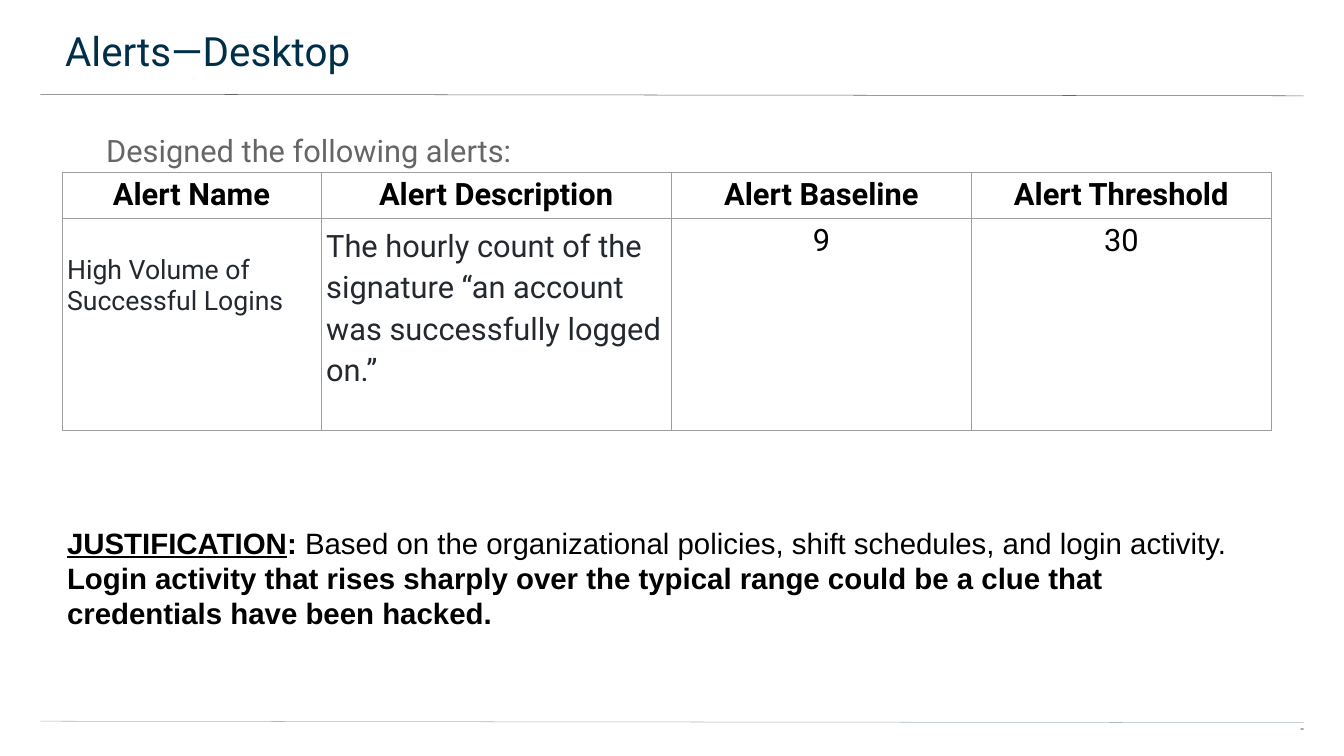
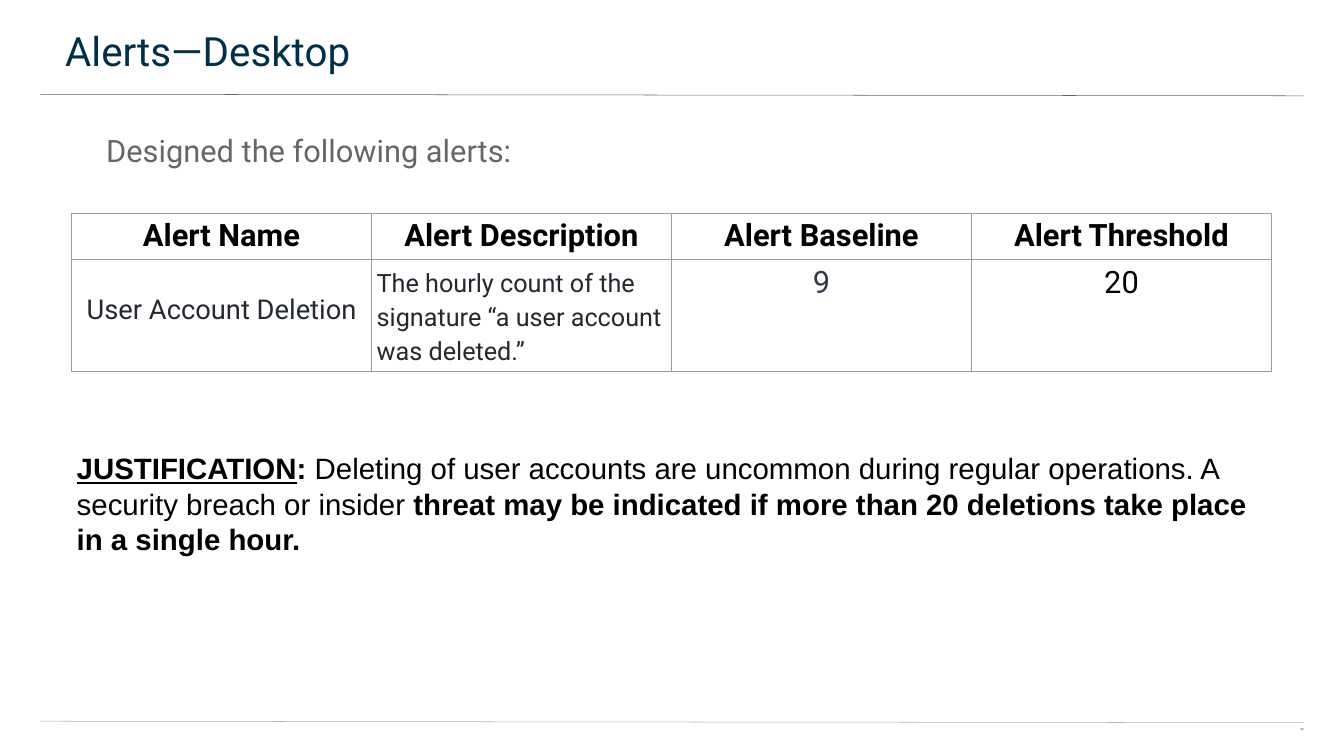
from lxml.etree import SubElement
from pptx import Presentation
from pptx.dml.color import RGBColor
from pptx.enum.shapes import MSO_CONNECTOR
from pptx.enum.text import MSO_ANCHOR, MSO_AUTO_SIZE, PP_ALIGN
from pptx.oxml.ns import qn
from pptx.util import Inches, Pt

COLORS = {
    "title": "002F4A", "grey": "666666", "footer": "A9B7C0", "border": "9E9E9E",
    "black": "000000", "ink": "24292F", "slate": "31394D",
}

presentation = Presentation()
presentation.slide_width = Inches(26.66)
presentation.slide_height = Inches(15)

# Grid: 100 columns by 100 rows
COLUMN = presentation.slide_width / 100
ROW = presentation.slide_height / 100
CELL_INSETS = (0.38, 0.67, 0.38, 0.67)
HEADINGS = ["Alert Name", "Alert Description", "Alert Baseline", "Alert Threshold"]


def write(frame, text, size=44, font="Roboto", color="black", bold=False,
          align=PP_ALIGN.LEFT, spacing=1.0):
    """Write one paragraph; text is a string or a list of (text, bold, underline)."""
    frame.word_wrap = True
    paragraph = frame.paragraphs[0]
    paragraph.alignment = align
    paragraph.line_spacing = spacing
    runs = [(text, bold, False)] if isinstance(text, str) else text
    for words, heavy, underline in runs:
        run = paragraph.add_run()
        run.text = words
        run.font.name = font
        run.font.size = Pt(size)
        run.font.bold = heavy
        run.font.underline = underline
        run.font.color.rgb = RGBColor.from_string(COLORS[color])


def set_insets(holder, left, top, right, bottom):
    holder.margin_left, holder.margin_right = int(left * COLUMN), int(right * COLUMN)
    holder.margin_top, holder.margin_bottom = int(top * ROW), int(bottom * ROW)


alerts = [
    {
        "page": "20", "left": 4.61, "table_top": 22.73, "body_row": 28.07,
        "widths": [19.28, 26.07, 22.32, 22.32], "name_top": 4.8,
        "cells": [
            ("High Volume of Successful Logins", {"size": 38, "color": "ink"}),
            ("The hourly count of the signature “an account was successfully logged on.”",
             {"color": "ink", "spacing": 1.15}),
            ("9", {"align": PP_ALIGN.CENTER}),
            ("30", {"align": PP_ALIGN.CENTER}),
        ],
        "reason_top": 68.73,
        "reason": "Based on the organizational policies, shift schedules, and login activity. ",
        "warning": "Login activity that rises sharply over the typical range could be "
                   "a clue that credentials have been hacked.",
    },
    {
        "page": "23", "left": 5.33, "table_top": 28.2, "body_row": 14.8,
        "widths": [22.32] * 4, "name_top": 4.57,
        "cells": [
            ("User Account Deletion",
             {"size": 39, "color": "ink", "align": PP_ALIGN.CENTER}),
            ("The hourly count of the signature “a user account was deleted.”",
             {"size": 36, "color": "ink", "spacing": 1.15}),
            ("9", {"color": "slate", "align": PP_ALIGN.CENTER}),
            ("20", {"align": PP_ALIGN.CENTER}),
        ],
        "reason_top": 58.93,
        "reason": "Deleting of user accounts are uncommon during regular operations. "
                  "A security breach or insider ",
        "warning": "threat may be indicated if more than 20 deletions take place "
                   "in a single hour.",
    },
]

for alert in alerts:
    slide = presentation.slides.add_slide(presentation.slide_layouts[6])
    table_width = sum(alert["widths"])

    # Rules under the title and above the footer
    for start, end, color in [(12.47, 12.67, "grey"), (95.4, 95.6, "footer")]:
        rule = slide.shapes.add_connector(
            MSO_CONNECTOR.STRAIGHT, int(3 * COLUMN), int(start * ROW),
            int(97 * COLUMN), int(end * ROW))
        rule.line.color.rgb = RGBColor.from_string(COLORS[color])
        rule.line.width = Pt(0.75)
        SubElement(rule._element.spPr, qn("a:effectLst"))

    # Title, page number, introduction and justification
    justification = [("JUSTIFICATION", True, True), (": ", True, False),
                     (alert["reason"], False, False), (alert["warning"], True, False)]
    text_boxes = [
        ((-0.15, 0, 100.26, 10.4), (5, 3.53, 3, 1.8), "Alerts—Desktop",
         {"size": 57.6, "color": "title"}),
        ((94.15, 96.4, 2.85, 2.07), (0, 0, 0, 1.8), alert["page"],
         {"size": 4, "align": PP_ALIGN.RIGHT, "spacing": 0.8}),
        ((2.9, 16.73, 94.1, 71.93), (5, 0, 5, 17.8), "Designed the following alerts:",
         {"color": "grey", "spacing": 1.15}),
        ((alert["left"], alert["reason_top"], table_width, 15.47), CELL_INSETS,
         justification, {"size": 42, "font": "Arial"}),
    ]
    for (left, top, width, height), insets, text, text_format in text_boxes:
        box = slide.shapes.add_textbox(int(left * COLUMN), int(top * ROW),
                                       int(width * COLUMN), int(height * ROW))
        box.text_frame.auto_size = MSO_AUTO_SIZE.NONE
        box.text_frame.vertical_anchor = MSO_ANCHOR.TOP
        set_insets(box.text_frame, *insets)
        write(box.text_frame, text, **text_format)

    # Alert table
    row_heights = [6.13, alert["body_row"]]
    table = slide.shapes.add_table(
        2, 4, int(alert["left"] * COLUMN), int(alert["table_top"] * ROW),
        int(table_width * COLUMN), int(sum(row_heights) * ROW)).table
    table.first_row = table.horz_banding = False
    for table_column, width in zip(table.columns, alert["widths"]):
        table_column.width = int(width * COLUMN)
    for table_row, height in zip(table.rows, row_heights):
        table_row.height = int(height * ROW)

    header = [(heading, {"bold": True, "align": PP_ALIGN.CENTER}) for heading in HEADINGS]
    for row_index, contents in enumerate([header, alert["cells"]]):
        for column_index, (text, text_format) in enumerate(contents):
            cell = table.cell(row_index, column_index)
            set_insets(cell, *CELL_INSETS)
            write(cell.text_frame, text, **text_format)
            properties = cell._tc.get_or_add_tcPr()
            for side in ("a:lnL", "a:lnR", "a:lnT", "a:lnB"):
                border = SubElement(properties, qn(side), w=str(Pt(0.75)))
                fill = SubElement(border, qn("a:solidFill"))
                SubElement(fill, qn("a:srgbClr"), val=COLORS["border"])
            cell.fill.background()
    table.cell(1, 0).margin_top = int(alert["name_top"] * ROW)

presentation.save("out.pptx")
